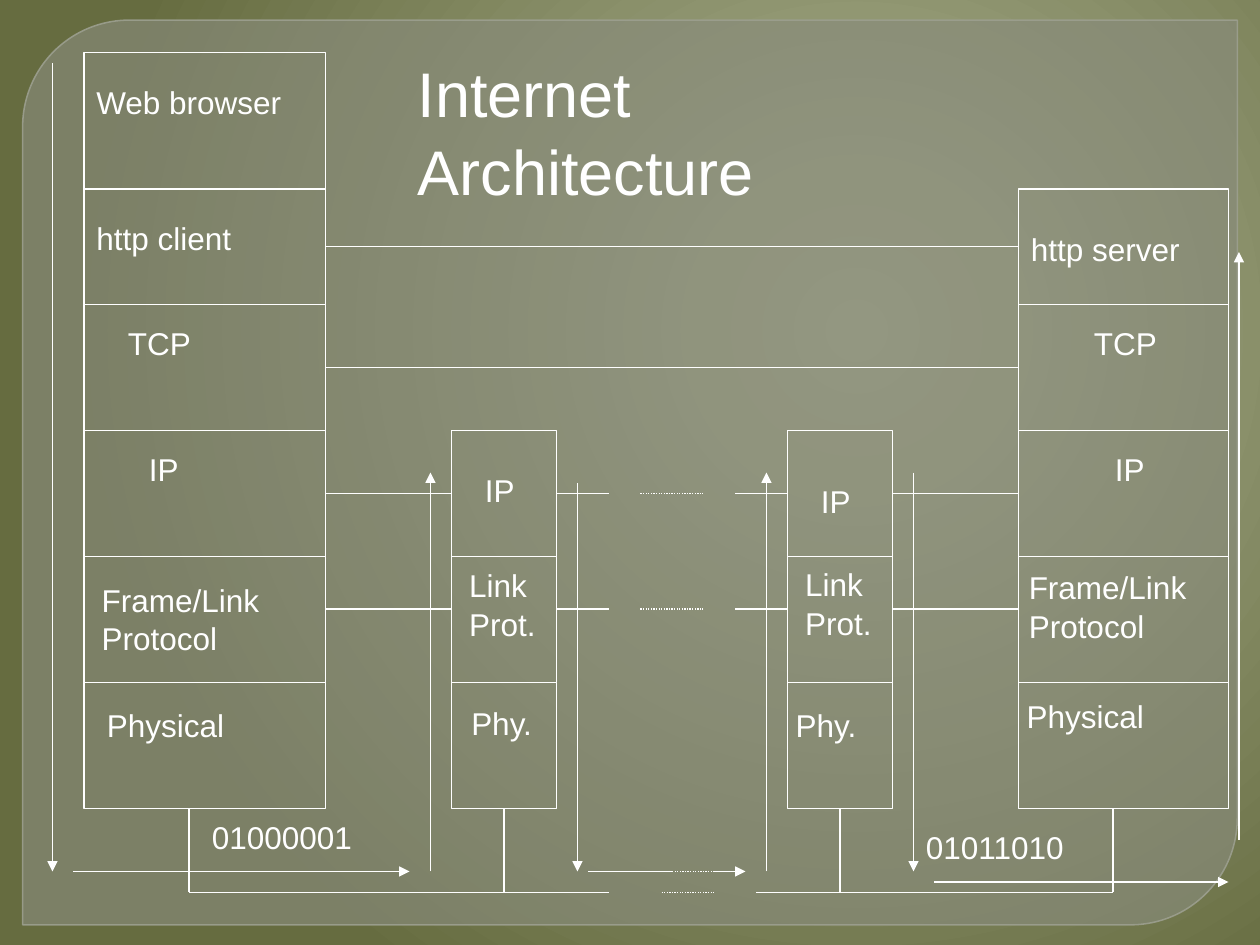
from dataclasses import dataclass

from pptx import Presentation
from pptx.dml.color import RGBColor
from pptx.enum.dml import MSO_LINE
from pptx.enum.shapes import MSO_CONNECTOR, MSO_SHAPE
from pptx.oxml import parse_xml
from pptx.oxml.ns import nsdecls, qn
from pptx.util import Inches, Pt
from lxml.etree import SubElement


@dataclass(frozen=True)
class Theme:
    font: str = "Arial"
    ink: str = "FFFFFF"
    panel: str = "888B7B"
    edge: str = "9DA090"
    glow: tuple = ((0, "A9AE8D"), (20, "9FA583"), (100, "666C40"))
    body: int = 18
    title: int = 36
    thin: float = 0.75


THEME = Theme()
COLS, ROWS = 120, 90
TOPS = (5, 18, 29, 41, 53, 65, 77)

STACKS = ((8, 23, 0), (43, 10, 3), (75, 10, 3), (97, 20, 1))

LABELS = (
    (8, 7, 24, "Web browser"),
    (8, 20, 19, "http client"),
    (97, 21, 20, "http server"),
    (11, 30, 10, "TCP"),
    (103, 30, 10, "TCP"),
    (13, 42, 6, "IP"),
    (45, 44, 6, "IP"),
    (77, 45, 6, "IP"),
    (105, 42, 6, "IP"),
    (8.5, 54.4, 21, "Frame/Link", "Protocol"),
    (43.5, 53, 10, "Link", "Prot."),
    (75.5, 52.9, 10, "Link", "Prot."),
    (96.8, 53.2, 21, "Frame/Link", "Protocol"),
    (9, 66.3, 16, "Physical"),
    (43.7, 66.2, 10, "Phy."),
    (74.6, 66.3, 10, "Phy."),
    (96.6, 65.5, 16, "Physical"),
    (19, 77, 18, "01000001"),
    (87, 78, 18, "01011010"),
)

ARROWS = (
    (7, 83, 39, 83),
    (5, 6, 5, 83),
    (41, 83, 41, 45),
    (55, 46, 55, 83),
    (68, 83, 71, 83),
    (73, 83, 73, 45),
    (87, 45, 87, 83),
    (89, 84, 117, 84),
    (118, 80, 118, 24),
)


def unit(count):
    return Inches(count / 12)


def tint(code):
    return RGBColor.from_string(code)


def fade(fill, share):
    color = fill._xPr.find(".//" + qn("a:srgbClr"))
    SubElement(color, qn("a:alpha"), val=str(share * 1000))


def paint_back(slide):
    slide.background.fill.solid()
    stops = "".join(
        f'<a:gs pos="{spot * 1000}"><a:srgbClr val="{code}"/></a:gs>'
        for spot, code in THEME.glow
    )
    glow = parse_xml(
        f'<a:gradFill {nsdecls("a")} rotWithShape="1"><a:gsLst>{stops}</a:gsLst>'
        '<a:path path="circle"><a:fillToRect l="68000" t="35000" r="32000" b="65000"/>'
        "</a:path></a:gradFill>"
    )
    flat = slide.background._cSld.find(".//" + qn("a:solidFill"))
    flat.getparent().replace(flat, glow)


def add_panel(slide):
    panel = slide.shapes.add_shape(
        MSO_SHAPE.ROUND_2_DIAG_RECTANGLE,
        Inches(0.18), Inches(0.16), Inches(9.64), Inches(7.18),
    )
    panel.adjustments[0] = 0.118
    panel.adjustments[1] = 0
    panel.shadow.inherit = False
    panel.fill.solid()
    panel.fill.fore_color.rgb = tint(THEME.panel)
    fade(panel.fill, 65)
    panel.line.color.rgb = tint(THEME.edge)
    panel.line.width = Pt(0.87)
    fade(panel.line.fill, 88)


def add_stack(slide, left, width, first):
    for top, base in zip(TOPS[first:], TOPS[first + 1:]):
        cell = slide.shapes.add_shape(
            MSO_SHAPE.RECTANGLE,
            unit(left), unit(top), unit(width), unit(base - top),
        )
        cell.shadow.inherit = False
        cell.fill.background()
        cell.line.color.rgb = tint(THEME.ink)
        cell.line.width = Pt(THEME.thin)


def add_text(slide, left, top, width, *lines, size=THEME.body):
    height = 1.2 + 4.8 * len(lines) * size / THEME.body
    box = slide.shapes.add_textbox(unit(left), unit(top + 0.2), unit(width), unit(height))
    frame = box.text_frame
    frame.word_wrap = True
    for spot, line in enumerate(lines):
        para = frame.add_paragraph() if spot else frame.paragraphs[0]
        para.line_spacing = 1.03
        run = para.add_run()
        run.text = line
        run.font.name = THEME.font
        run.font.size = Pt(size)
        run.font.color.rgb = tint(THEME.ink)


def add_wire(slide, x1, y1, x2, y2, dash=None, head=False):
    wire = slide.shapes.add_connector(
        MSO_CONNECTOR.STRAIGHT, unit(x1), unit(y1), unit(x2), unit(y2)
    )
    wire.line.color.rgb = tint(THEME.ink)
    wire.line.width = Pt(THEME.thin)
    if dash:
        wire.line.dash_style = dash
    if head:
        SubElement(wire.line._get_or_add_ln(), qn("a:tailEnd"), type="triangle")
    SubElement(wire._element.spPr, qn("a:effectLst"))


def add_links(slide):
    for y in (23.5, 35):
        add_wire(slide, 31, y, 97, y)
    for y in (47, 58):
        for start, end in ((31, 43), (85, 97), (53, 58), (75, 70)):
            add_wire(slide, start, y, end, y)
    for x in (18, 48, 80, 106):
        add_wire(slide, x, TOPS[-1], x, 85)
    for start, end in ((18, 48), (48, 58), (80, 72), (80, 106)):
        add_wire(slide, start, 85, end, 85)
    add_wire(slide, 56, 83, 64, 83)
    for start, end, y in ((61, 67, 47), (61, 67, 58), (63, 68, 85), (64, 69, 83)):
        add_wire(slide, start, y, end, y, dash=MSO_LINE.ROUND_DOT)


def main():
    deck = Presentation()
    deck.slide_width, deck.slide_height = unit(COLS), unit(ROWS)
    slide = deck.slides.add_slide(deck.slide_layouts[6])
    paint_back(slide)
    add_panel(slide)
    for stack in STACKS:
        add_stack(slide, *stack)
    add_links(slide)
    for arrow in ARROWS:
        add_wire(slide, *arrow, head=True)
    for label in LABELS:
        add_text(slide, *label)
    add_text(slide, 38.6, 4.2, 38, "Internet Architecture", size=THEME.title)
    deck.save("out.pptx")


if __name__ == "__main__":
    main()
